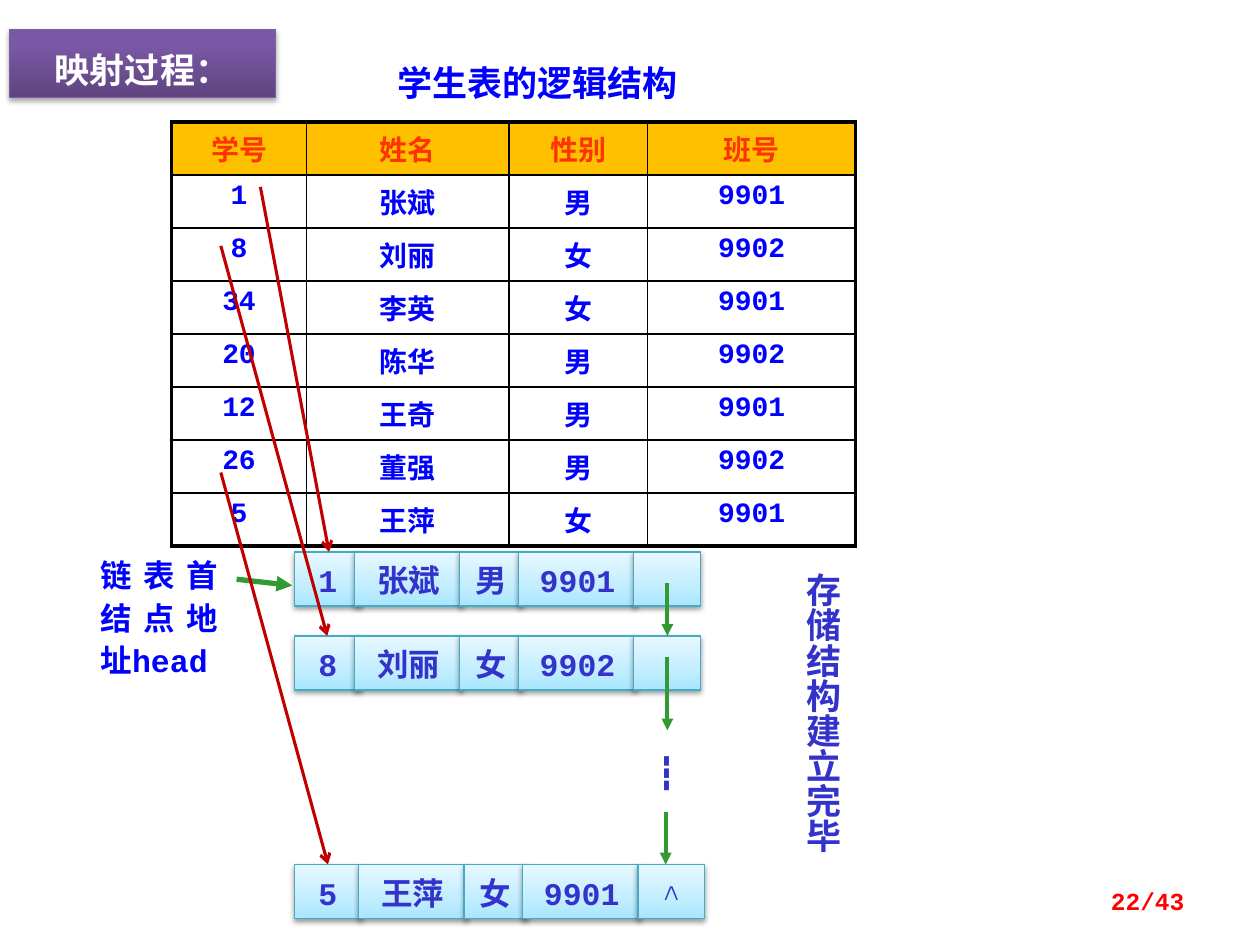
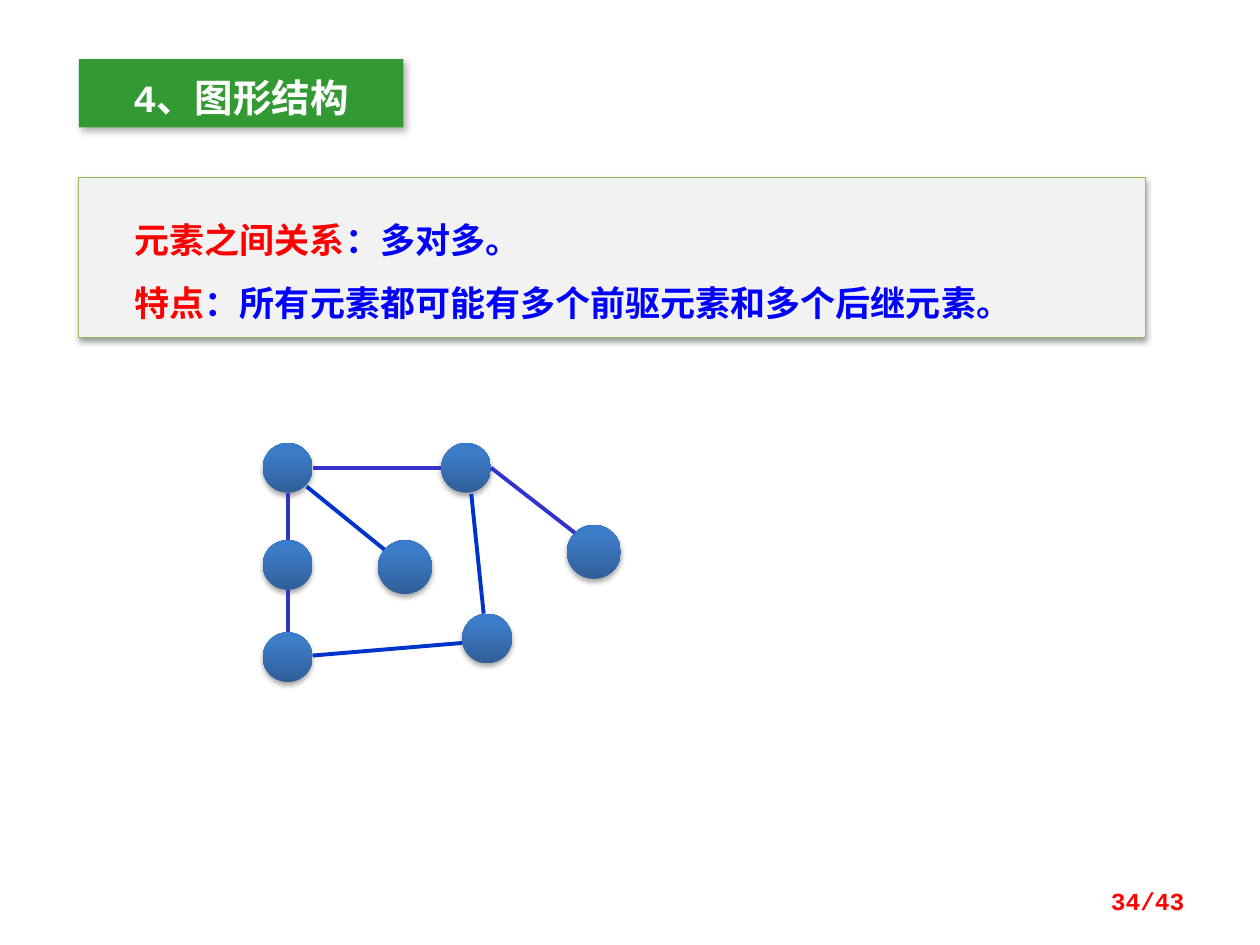
from lxml import etree
from pptx import Presentation
from pptx.dml.color import RGBColor
from pptx.enum import shapes as kinds, text as txt
from pptx.oxml import ns
from pptx.util import Pt

FONT = "Courier New"
BLUE = RGBColor(0x00, 0x00, 0xFF)
INDIGO = RGBColor(0x33, 0x33, 0xCC)
EDGE_BLUE = RGBColor(0x00, 0x33, 0xCC)
RED = RGBColor(0xFF, 0x00, 0x00)
DARK_RED = RGBColor(0xC0, 0x00, 0x00)
ORANGE_RED = RGBColor(0xFF, 0x33, 0x00)
GOLD = RGBColor(0xFF, 0xC0, 0x00)
GREEN = RGBColor(0x33, 0x99, 0x33)
OLIVE = RGBColor(0x98, 0xB9, 0x55)
TEAL = RGBColor(0x46, 0xAA, 0xC5)
PURPLE = RGBColor(0x7D, 0x60, 0xA0)
GREY = RGBColor(0xF2, 0xF2, 0xF2)
WHITE = RGBColor(0xFF, 0xFF, 0xFF)
SKY_FADE = [(0, "A7E6FF"), (35, "C1EDFF"), (100, "E7F8FF")]
PURPLE_FADE = [(0, "5F4480"), (80, "7B58A6"), (100, "7C57A8")]
BLUE_FADE = [(0, "2F5F99"), (80, "3D7CC7"), (100, "3A7CCB")]
CENTER = txt.PP_ALIGN.CENTER
JUSTIFY = txt.PP_ALIGN.JUSTIFY


def paint(shape, fill, border=None, shadow=(38, 3.1, 1.6, 90)):
    if isinstance(fill, list):
        shape.fill.gradient()
        shape.fill.gradient_angle = 90
        stops = shape._element.spPr.find(".//" + ns.qn("a:gsLst"))
        for old in list(stops):
            stops.remove(old)
        for position, color in fill:
            stop = etree.SubElement(stops, ns.qn("a:gs"), pos=str(position * 1000))
            etree.SubElement(stop, ns.qn("a:srgbClr"), val=color)
    else:
        shape.fill.solid()
        shape.fill.fore_color.rgb = fill
    if border:
        shape.line.color.rgb = border
        shape.line.width = Pt(0.75)
    else:
        shape.line.fill.background()
    shape.shadow.inherit = False
    alpha, blur, distance, angle = shadow
    effects = shape._element.spPr.find(ns.qn("a:effectLst"))
    outer = etree.SubElement(effects, ns.qn("a:outerShdw"), blurRad=str(Pt(blur)),
                             dist=str(Pt(distance)), dir=str(angle * 60000), rotWithShape="0")
    black = etree.SubElement(outer, ns.qn("a:srgbClr"), val="000000")
    etree.SubElement(black, ns.qn("a:alpha"), val=str(alpha * 1000))


def write(frame, paragraphs, size, align=CENTER, spacing=1.0, insets=(7.2, 3.6, 7.2, 3.6),
          anchor=txt.MSO_ANCHOR.TOP, indent=0):
    frame.word_wrap = True
    frame.auto_size = txt.MSO_AUTO_SIZE.NONE
    frame.vertical_anchor = anchor
    frame.margin_left, frame.margin_top, frame.margin_right, frame.margin_bottom = map(Pt, insets)
    for number, runs in enumerate(paragraphs):
        paragraph = frame.add_paragraph() if number else frame.paragraphs[0]
        properties = paragraph._p.get_or_add_pPr()
        properties.set("marL", "0")
        properties.set("indent", str(Pt(indent)))
        etree.SubElement(properties, ns.qn("a:buNone"))
        paragraph.alignment = align
        paragraph.line_spacing = spacing
        paragraph.space_before = Pt(0)
        for words, color in runs:
            run = paragraph.add_run()
            run.text = words
            run.font.name = FONT
            run.font.size = Pt(size)
            run.font.bold = True
            run.font.color.rgb = color


prs = Presentation()
prs.slide_width, prs.slide_height = Pt(720), Pt(540)
mapping = prs.slides.add_slide(prs.slide_layouts[5])
graph = prs.slides.add_slide(prs.slide_layouts[1])

headings = [
    (mapping, "映射过程：", (5.5, 16.8, 152, 39), 20, 1.3, (7.2, 3.6, 7.2, 3.6),
     PURPLE_FADE, PURPLE, (35, 3.1, 1.8, 90)),
    (graph, "4、图形结构", (45, 33.8, 185.5, 39), 22, 1.0, (7.2, 8.6, 7.2, 3.6),
     GREEN, None, (30, 4.5, 2.6, 53)),
]
for slide, words, place, size, spacing, insets, fill, border, shadow in headings:
    heading = slide.shapes.title
    heading.left, heading.top, heading.width, heading.height = map(Pt, place)
    paint(heading, fill, border, shadow)
    write(heading.text_frame, [[(words, WHITE)]], size, spacing=spacing, insets=insets)

students = [
    ("学号", "姓名", "性别", "班号"),
    ("1", "张斌", "男", "9901"),
    ("8", "刘丽", "女", "9902"),
    ("34", "李英", "女", "9901"),
    ("20", "陈华", "男", "9902"),
    ("12", "王奇", "男", "9901"),
    ("26", "董强", "男", "9902"),
    ("5", "王萍", "女", "9901"),
]
last_row, last_column = len(students) - 1, len(students[0]) - 1
student_table = mapping.shapes.add_table(
    len(students), len(students[0]), Pt(98), Pt(69.7), Pt(391), Pt(242.4)).table
student_table.first_row = student_table.horz_banding = False
for column, width in zip(student_table.columns, (77.2, 115.6, 79.2, 119)):
    column.width = Pt(width)
for r, student in enumerate(students):
    student_table.rows[r].height = Pt(30.3)
    for c, value in enumerate(student):
        cell = student_table.cell(r, c)
        if r == 0:
            cell.fill.solid()
            cell.fill.fore_color.rgb = GOLD
        else:
            cell.fill.background()
        outer_sides = {"L": c == 0, "R": c == last_column, "T": r == 0, "B": r == last_row}
        for position, (side, is_outer) in enumerate(outer_sides.items()):
            border = etree.Element(ns.qn("a:ln" + side), w=str(Pt(2.25 if is_outer else 1)))
            solid = etree.SubElement(border, ns.qn("a:solidFill"))
            etree.SubElement(solid, ns.qn("a:srgbClr"), val="000000")
            cell._tc.get_or_add_tcPr().insert(position, border)
        paragraph = cell.text_frame.paragraphs[0]
        paragraph.alignment = CENTER
        run = paragraph.add_run()
        run.text = value
        run.font.name = FONT
        run.font.size = Pt(16)
        run.font.bold = True
        run.font.color.rgb = BLUE if r else ORANGE_RED

fields = [(168.3, 38.2), (202.5, 62), (262.8, 36), (296.2, 67.7), (362.2, 38.2)]
nodes = [(315.4, 0, students[1], ""), (363.4, 0, students[2], ""), (494, 2.4, students[7], "∧")]
for top, shift, student, pointer in nodes:
    for c, ((left, width), value) in enumerate(zip(fields, (*student, pointer))):
        field = mapping.shapes.add_shape(
            kinds.MSO_SHAPE.RECTANGLE, Pt(left + (shift if c else 0)), Pt(top), Pt(width), Pt(31))
        paint(field, SKY_FADE, TEAL)
        if value:
            write(field.text_frame, [[(value, INDIGO)]], 18,
                  spacing=1.0 if value == pointer else 1.12, insets=(7.2, 2.9, 7.2, 0))

captions = [
    ("学生表的逻辑结构", (206, 24.5, 202.3, 36), 20, BLUE, CENTER, 1.3, 3.6, "horz"),
    ("链表首结点地址head", (50.4, 315.4, 81.4, 72.7), 18, BLUE, JUSTIFY, 1.12, 0, "horz"),
    ("┇", (358.6, 428.4, 44.6, 23.8), 18, INDIGO, CENTER, 0.8, 5.8, "horz"),
    ("存储结构建立完毕", (447, 320.4, 33.8, 185.8), 20, INDIGO, CENTER, 0.8, 3.6, "eaVert"),
]
for words, place, size, color, align, spacing, inset_top, direction in captions:
    caption = mapping.shapes.add_textbox(*map(Pt, place))
    write(caption.text_frame, [[(words, color)]], size, align, spacing, (7.2, inset_top, 7.2, 3.6))
    caption.text_frame._txBody.bodyPr.set("vert", direction)

relation = graph.placeholders[1]
relation.left, relation.top, relation.width, relation.height = map(Pt, (44.8, 101.5, 610, 91.4))
paint(relation, GREY, OLIVE)
write(relation.text_frame, [
    [("元素之间关系", RED), ("：多对多。", BLUE)],
    [("特点", RED), ("：所有元素都可能有多个前驱元素和多个后继元素。", BLUE)],
], 20, JUSTIFY, 1.5, (7.2, 11.5, 7.2, 11.5), indent=25)

vertices = [
    (150.2, 253.2, 28.4), (252.2, 253.2, 28.4), (150.2, 308.7, 28.4), (216, 308.7, 30.8),
    (264.2, 350.7, 28.4), (150.2, 361.4, 28.4), (324, 300, 30.8),
]
for left, top, diameter in vertices:
    vertex = graph.shapes.add_shape(
        kinds.MSO_SHAPE.OVAL, Pt(left), Pt(top), Pt(diameter), Pt(diameter))
    paint(vertex, BLUE_FADE, shadow=(35, 3.1, 1.8, 90))

segments = [
    (mapping, (135.2, 331, 167, 334.6), GREEN, 3, "triangle"),
    (mapping, (381.4, 333.4, 381.4, 363.4), GREEN, 2.25, "triangle"),
    (mapping, (381.4, 375.2, 381.4, 417.4), GREEN, 2.25, "triangle"),
    (mapping, (380.4, 463.8, 380.4, 494), GREEN, 2.25, "triangle"),
    (mapping, (148.8, 106.8, 188, 315.4), DARK_RED, 1.75, "arrow"),
    (mapping, (126.2, 140.5, 187, 363.4), DARK_RED, 1.75, "arrow"),
    (mapping, (126.2, 270, 187.4, 494), DARK_RED, 1.75, "arrow"),
    (graph, (175.2, 278, 219.6, 314), EDGE_BLUE, 2.25, None),
    (graph, (178.6, 374.6, 264.2, 367.4), EDGE_BLUE, 2.25, None),
    (graph, (269.3, 282.2, 276.4, 350.7), EDGE_BLUE, 2.25, None),
    (graph, (164.4, 281.6, 164.4, 308.7), INDIGO, 2.25, None),
    (graph, (164.4, 337.1, 164.4, 361.4), INDIGO, 2.25, None),
    (graph, (280.6, 267.3, 328.5, 304.5), INDIGO, 2.25, None),
    (graph, (178.6, 267.3, 252.2, 267.3), INDIGO, 2.25, None),
]
for slide, ends, color, width, arrowhead in segments:
    segment = slide.shapes.add_connector(kinds.MSO_CONNECTOR.STRAIGHT, *map(Pt, ends))
    segment.line.color.rgb = color
    segment.line.width = Pt(width)
    if arrowhead:
        etree.SubElement(segment.line._get_or_add_ln(), ns.qn("a:tailEnd"), type=arrowhead)
    etree.SubElement(segment._element.spPr, ns.qn("a:effectLst"))

for slide, page in ((mapping, 22), (graph, 34)):
    page_number = slide.shapes.add_textbox(Pt(516), Pt(500.5), Pt(168), Pt(28.8))
    write(page_number.text_frame, [[(f"{page}/43", RED)]], 14, txt.PP_ALIGN.RIGHT,
          anchor=txt.MSO_ANCHOR.MIDDLE)

prs.save("out.pptx")
